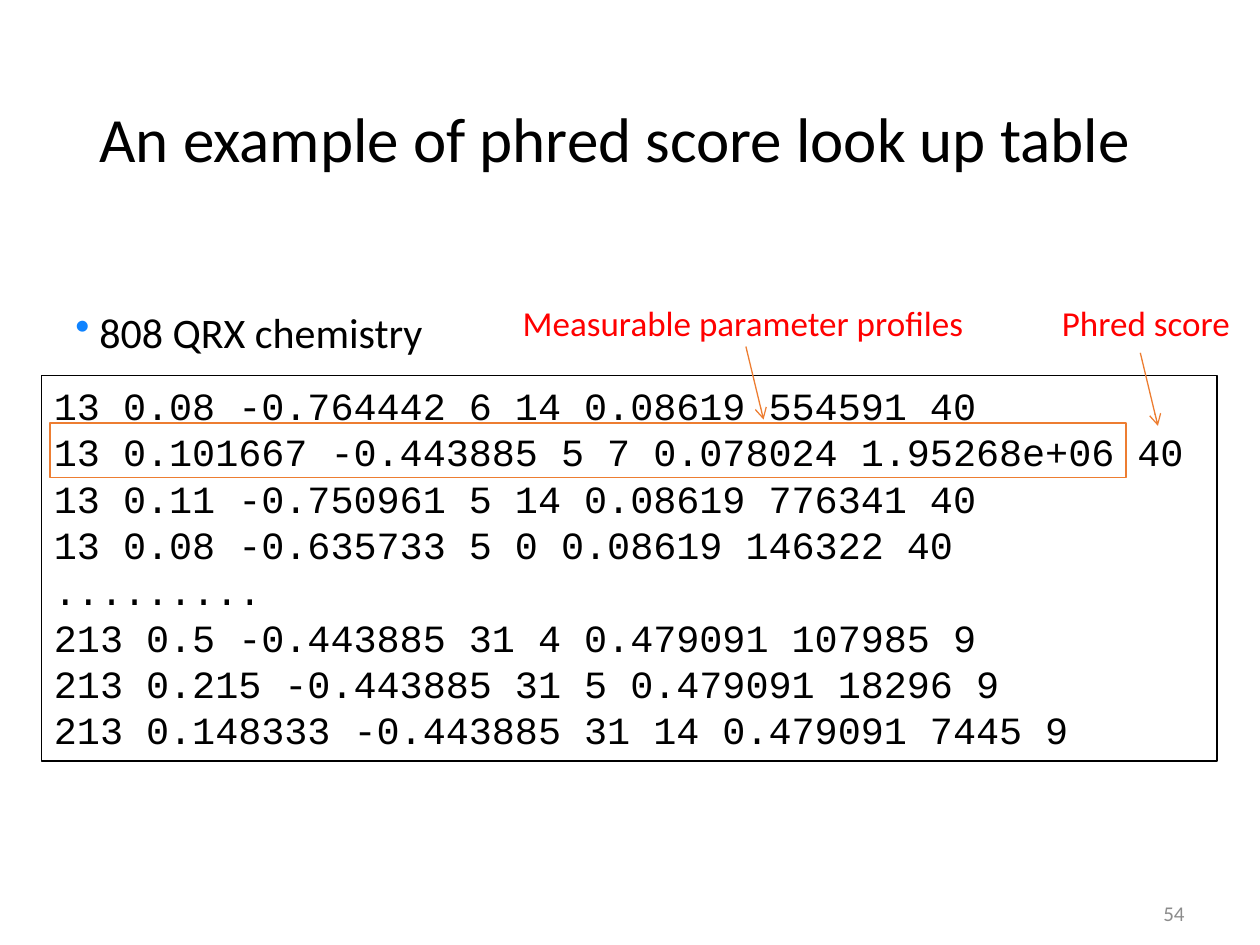
from lxml import etree
from pptx import Presentation, util as u
from pptx.dml.color import RGBColor
from pptx.enum import shapes, text
from pptx.oxml.ns import qn

HUES = {"ink": "000000", "red": "FF0000", "rim": "ED7D31",
        "gray": "8C8C8C", "dot": "0F83FF"}
ROWS = [
    "13 0.08 -0.764442 6 14 0.08619 554591 40",
    "13 0.101667 -0.443885 5 7 0.078024 1.95268e+06 40",
    "13 0.11 -0.750961 5 14 0.08619 776341 40",
    "13 0.08 -0.635733 5 0 0.08619 146322 40",
    ".........",
    "213 0.5 -0.443885 31 4 0.479091 107985 9",
    "213 0.215 -0.443885 31 5 0.479091 18296 9",
    "213 0.148333 -0.443885 31 14 0.479091 7445 9",
]

deck = Presentation()
deck.slide_width, deck.slide_height = u.Inches(10), u.Inches(7.5)
slide = deck.slides.add_slide(deck.slide_layouts[6])


def hue(name):
    return RGBColor.from_string(HUES[name])


def write(area, lines, size, tint, face="Calibri", form=None):
    box = slide.shapes.add_textbox(*map(u.Inches, area))
    frame = box.text_frame
    frame.word_wrap = True
    frame.text = "\n".join(lines)
    for para in frame.paragraphs:
        para.font.name = face
        para.font.size = u.Pt(size)
        para.font.color.rgb = hue(tint)
        for key, val in (form or {}).items():
            setattr(para, key, val)
    return box


title = write((0.69, 0.4, 8.62, 1.45), ["An example of phred score look up table"],
              36, "ink", form={"line_spacing": 0.9})
page = write((7.17, 7.05, 2.33, 0.4), ["54"], 12, "gray",
             form={"alignment": text.PP_ALIGN.RIGHT})
for box in (title, page):
    box.text_frame.vertical_anchor = text.MSO_ANCHOR.MIDDLE

topic = write((0.5, 2.38, 9, 0.5), ["808 QRX chemistry"], 24, "ink")
props = topic.text_frame.paragraphs[0]._p.get_or_add_pPr()
props.set("marL", str(u.Inches(0.19)))
props.set("indent", str(-u.Inches(0.19)))
tone = etree.Element(qn("a:buClr"))
etree.SubElement(tone, qn("a:srgbClr"), val=HUES["dot"])
mark = etree.Element(qn("a:buChar"), char="•")
props.insert(0, tone)
props.insert(1, mark)

table = write((0.33, 2.98, 9.33, 3.06), ROWS, 22, "ink", "Courier New",
              {"line_spacing": u.Pt(26.5)})
table.line.color.rgb = hue("ink")
table.line.width = u.Pt(0.75)

write((8.33, 2.34, 1.66, 0.44), ["Phred score"], 20, "red")

frame = slide.shapes.add_shape(shapes.MSO_SHAPE.RECTANGLE,
                               *map(u.Inches, (0.4, 3.36, 8.54, 0.43)))
frame.shadow.inherit = False
frame.fill.background()
frame.line.color.rgb = hue("rim")
frame.line.width = u.Pt(1)

write((4.05, 2.34, 3.79, 0.44), ["Measurable parameter profiles"], 20, "red")

for left, top in ((9.05, 2.8), (5.92, 2.75)):
    ends = map(u.Inches, (left, top, left + 0.14, top + 0.58))
    arrow = slide.shapes.add_connector(shapes.MSO_CONNECTOR.STRAIGHT, *ends)
    arrow.line.color.rgb = hue("rim")
    arrow.line.width = u.Pt(0.75)
    etree.SubElement(arrow.line._get_or_add_ln(), qn("a:tailEnd"), type="arrow")
    etree.SubElement(arrow._element.spPr, qn("a:effectLst"))

deck.save("out.pptx")
